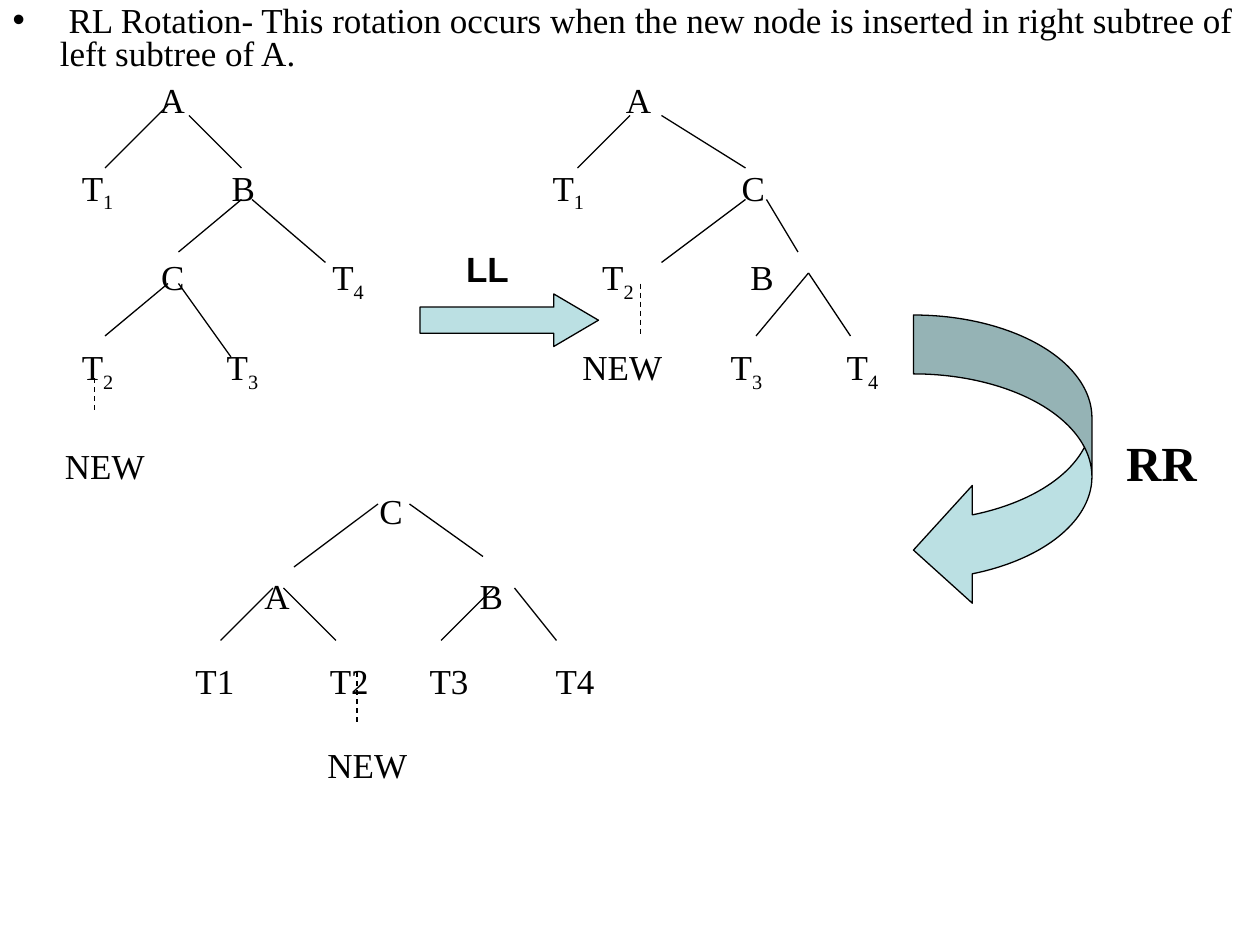
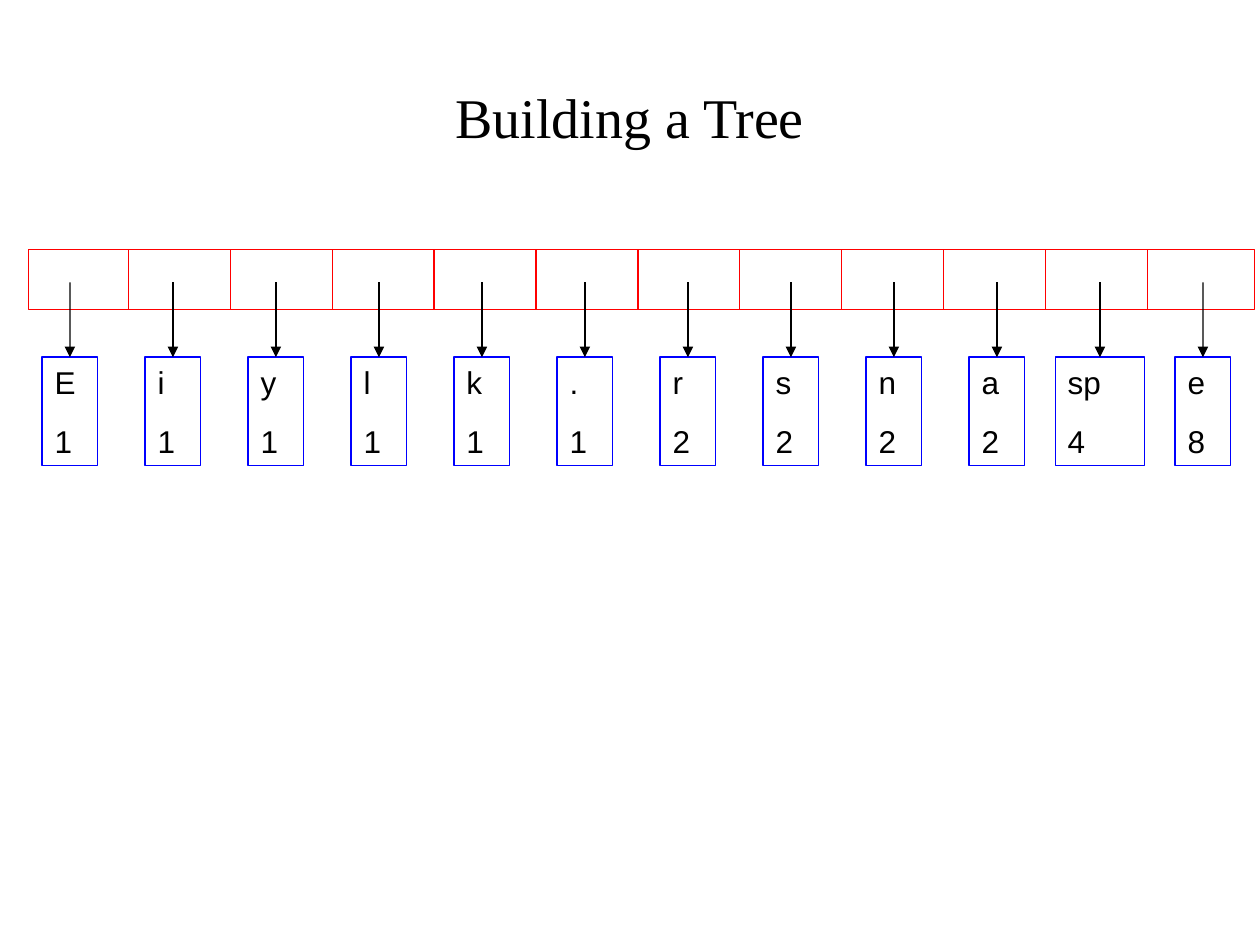
from dataclasses import dataclass
from typing import Optional

import pptx
import pptx.dml.color
import pptx.enum.dml
import pptx.enum.shapes
import pptx.enum.text
import pptx.oxml.ns
import pptx.util
from lxml import etree
from pptx.util import Cm, Pt

Color = pptx.dml.color.RGBColor
Shape = pptx.enum.shapes.MSO_SHAPE


@dataclass(frozen=True)
class Theme:
    ink: Color = Color(0x00, 0x00, 0x00)
    paper: Color = Color(0xFF, 0xFF, 0xFF)
    arrow: Color = Color(0xBB, 0xE0, 0xE3)
    array: Color = Color(0xFF, 0x00, 0x00)
    node: Color = Color(0x00, 0x00, 0xFF)
    serif: str = "Times New Roman"
    sans: str = "Arial"
    title: Pt = Pt(32)
    strong: Pt = Pt(28)
    body: Pt = Pt(20)
    node_text: Pt = Pt(18)
    line: Pt = Pt(0.75)


THEME = Theme()


@dataclass(frozen=True)
class Label:
    """A tree label, with its left edge in cm."""
    left: float
    text: str
    sub: str = ""


@dataclass(frozen=True)
class Row:
    """Labels that share a line, with its top in cm."""
    top: float
    labels: tuple[Label, ...]
    strong: bool = False


@dataclass(frozen=True)
class Edge:
    """A tree edge in grid steps."""
    x1: int
    y1: int
    x2: int
    y2: int
    dashed: bool = False


@dataclass(frozen=True)
class Leaf:
    symbol: str
    count: int
    width: float = 1.12


ROWS = (
    Row(1.58, (Label(3.22, "A"), Label(12.62, "A"))),
    Row(3.35, (Label(1.65, "T", "1"), Label(4.67, "B"),
               Label(11.14, "T", "1"), Label(14.95, "C"))),
    Row(5.15, (Label(3.25, "C"), Label(6.7, "T", "4"),
               Label(12.14, "T", "2"), Label(15.13, "B"))),
    Row(6.96, (Label(1.65, "T", "2"), Label(4.57, "T", "3"),
               Label(11.74, "NEW"), Label(14.73, "T", "3"),
               Label(17.07, "T", "4"))),
    Row(8.96, (Label(1.31, "NEW"),)),
    Row(8.71, (Label(22.7, "RR"),), strong=True),
    Row(9.86, (Label(7.65, "C"),)),
    Row(11.58, (Label(5.33, "A"), Label(9.67, "B"))),
    Row(13.29, (Label(3.94, "T1"), Label(6.65, "T2"),
                Label(8.66, "T3"), Label(11.2, "T4"))),
    Row(14.99, (Label(6.6, "NEW"),)),
)

EDGES = (
    # Tree before the rotations
    Edge(16, 10, 10, 16), Edge(18, 11, 23, 16), Edge(23, 19, 17, 24),
    Edge(24, 19, 31, 25), Edge(17, 27, 22, 34), Edge(16, 27, 10, 32),
    Edge(9, 36, 9, 39, dashed=True),
    # Tree after the LL rotation
    Edge(60, 11, 55, 16), Edge(63, 11, 71, 16), Edge(71, 19, 63, 25),
    Edge(73, 19, 76, 24), Edge(77, 26, 72, 32), Edge(77, 26, 81, 32),
    Edge(61, 27, 61, 32, dashed=True),
    # Tree after the RR rotation
    Edge(36, 48, 28, 54), Edge(26, 56, 21, 61), Edge(27, 56, 32, 61),
    Edge(39, 48, 46, 53), Edge(47, 56, 42, 61), Edge(49, 56, 53, 61),
    Edge(34, 64, 34, 69, dashed=True),
)

LEAVES = (
    Leaf("E", 1), Leaf("i", 1), Leaf("y", 1), Leaf("l", 1), Leaf("k", 1),
    Leaf(".", 1), Leaf("r", 2), Leaf("s", 2), Leaf("n", 2), Leaf("a", 2),
    Leaf("sp", 4, 1.8), Leaf("e", 8),
)


def grid(steps: float) -> Cm:
    """Twelve grid steps make 2.54 cm."""
    return Cm(steps * 2.54 / 12)


def style_font(font, name: str, size: Pt, bold: Optional[bool] = None) -> None:
    font.name, font.size, font.bold = name, size, bold
    font.color.rgb = THEME.ink


def draw_line(page, x1: Cm, y1: Cm, x2: Cm, y2: Cm, color: Color = THEME.ink):
    line = page.shapes.add_connector(
        pptx.enum.shapes.MSO_CONNECTOR.STRAIGHT, x1, y1, x2, y2)
    line.line.color.rgb = color
    line.line.width = THEME.line
    etree.SubElement(line._element.spPr, pptx.oxml.ns.qn("a:effectLst"))
    return line


def draw_shape(page, kind: Shape, left: Cm, top: Cm, width: Cm, height: Cm,
               outline: Color, fill: Optional[Color] = None):
    shape = page.shapes.add_shape(kind, left, top, width, height)
    shape.shadow.inherit = False
    shape.line.color.rgb = outline
    shape.line.width = THEME.line
    if fill is None:
        shape.fill.background()
    else:
        shape.fill.solid()
        shape.fill.fore_color.rgb = fill
    return shape


def draw_label(page, label: Label, row: Row) -> None:
    box = page.shapes.add_textbox(Cm(label.left), Cm(row.top), Cm(1.9), Cm(0.9))
    frame = box.text_frame
    frame.word_wrap = True
    frame.margin_left = frame.margin_right = Cm(0)
    frame.margin_top = frame.margin_bottom = Cm(0)
    para = frame.paragraphs[0]
    para.add_run().text = label.text
    if label.sub:
        span = para.add_run()
        span.text = label.sub
        span._r.get_or_add_rPr().set("baseline", "-25000")
    size = THEME.strong if row.strong else THEME.body
    style_font(para.font, THEME.serif, size, row.strong)


def build_rotation(deck) -> None:
    page = deck.slides.add_slide(deck.slide_layouts[1])
    title = page.shapes.title._element
    title.getparent().remove(title)

    body = page.placeholders[1]
    body.left, body.top = Cm(0), Cm(0)
    body.width, body.height = deck.slide_width, deck.slide_height
    frame = body.text_frame
    frame.auto_size = pptx.enum.text.MSO_AUTO_SIZE.NONE
    frame.margin_top = Cm(0.15)
    intro = frame.paragraphs[0]
    intro.text = (" RL Rotation- This rotation occurs when the new node is "
                  "inserted in right subtree of left subtree of A.")
    intro.line_spacing = 0.78
    intro.space_before = Pt(0)
    style_font(intro.font, THEME.serif, THEME.body)

    for row in ROWS:
        for label in row.labels:
            draw_label(page, label, row)

    for edge in EDGES:
        line = draw_line(page, grid(edge.x1), grid(edge.y1),
                         grid(edge.x2), grid(edge.y2))
        if edge.dashed:
            line.line.dash_style = pptx.enum.dml.MSO_LINE.DASH

    ll_arrow = draw_shape(page, Shape.RIGHT_ARROW, grid(40), grid(28),
                          grid(17), grid(5), THEME.ink, THEME.arrow)
    ll_arrow.adjustments[1] = 0.85
    rr_arrow = draw_shape(page, Shape.CURVED_LEFT_ARROW, grid(87), grid(30),
                          grid(17), grid(28), THEME.ink, THEME.arrow)
    for position, value in enumerate((0.33, 0.66, 0.33)):
        rr_arrow.adjustments[position] = value

    box = page.shapes.add_textbox(grid(39), grid(23), grid(16), Cm(1.12))
    box.text_frame.word_wrap = True
    box.text_frame.margin_left = Cm(1.14)
    para = box.text_frame.paragraphs[0]
    para.text = "LL"
    style_font(para.font, THEME.sans, THEME.body, True)


def draw_leaf(page, leaf: Leaf, center: float) -> None:
    """Draw a leaf box and the array pointer that ends on it."""
    box = draw_shape(page, Shape.RECTANGLE, Cm(center - leaf.width / 2),
                     Cm(7.2), Cm(leaf.width), Cm(2.18), THEME.node)
    frame = box.text_frame
    frame.word_wrap = True
    frame.vertical_anchor = pptx.enum.text.MSO_ANCHOR.TOP
    frame.text = f"{leaf.symbol}\n{leaf.count}"
    for para in frame.paragraphs:
        para.alignment = pptx.enum.text.PP_ALIGN.LEFT
        style_font(para.font, THEME.sans, THEME.node_text)
    frame.paragraphs[1].space_before = Pt(11.8)

    pointer = draw_line(page, Cm(center), Cm(5.69), Cm(center), Cm(7.2))
    pointer.end_connect(box, 0)
    etree.SubElement(pointer.line._get_or_add_ln(),
                     pptx.oxml.ns.qn("a:tailEnd"), type="triangle")


def build_leaves(deck) -> None:
    page = deck.slides.add_slide(deck.slide_layouts[5])
    title = page.shapes.title
    title.left, title.top = Cm(1.27), Cm(0.76)
    title.width, title.height = Cm(22.86), Cm(3.18)
    title.text_frame.text = "Building a Tree"
    style_font(title.text_frame.paragraphs[0].font, THEME.serif, THEME.title)

    top, height = 5.03, 1.21
    draw_shape(page, Shape.RECTANGLE, Cm(0.58), Cm(top), Cm(24.71), Cm(height),
               THEME.array, THEME.paper)
    gaps = len(LEAVES) - 1
    first_divider, last_divider = 2.59, 23.13
    divider_step = (last_divider - first_divider) / (gaps - 1)
    for divider in range(gaps):
        x = Cm(first_divider + divider_step * divider)
        draw_line(page, x, Cm(top), x, Cm(top + height), THEME.array)

    first_leaf, last_leaf = 1.41, 24.25
    leaf_step = (last_leaf - first_leaf) / gaps
    for position, leaf in enumerate(LEAVES):
        draw_leaf(page, leaf, first_leaf + leaf_step * position)


def main() -> None:
    deck = pptx.Presentation()
    deck.slide_width, deck.slide_height = Cm(25.4), Cm(19.05)
    build_rotation(deck)
    build_leaves(deck)
    deck.save("out.pptx")


if __name__ == "__main__":
    main()
